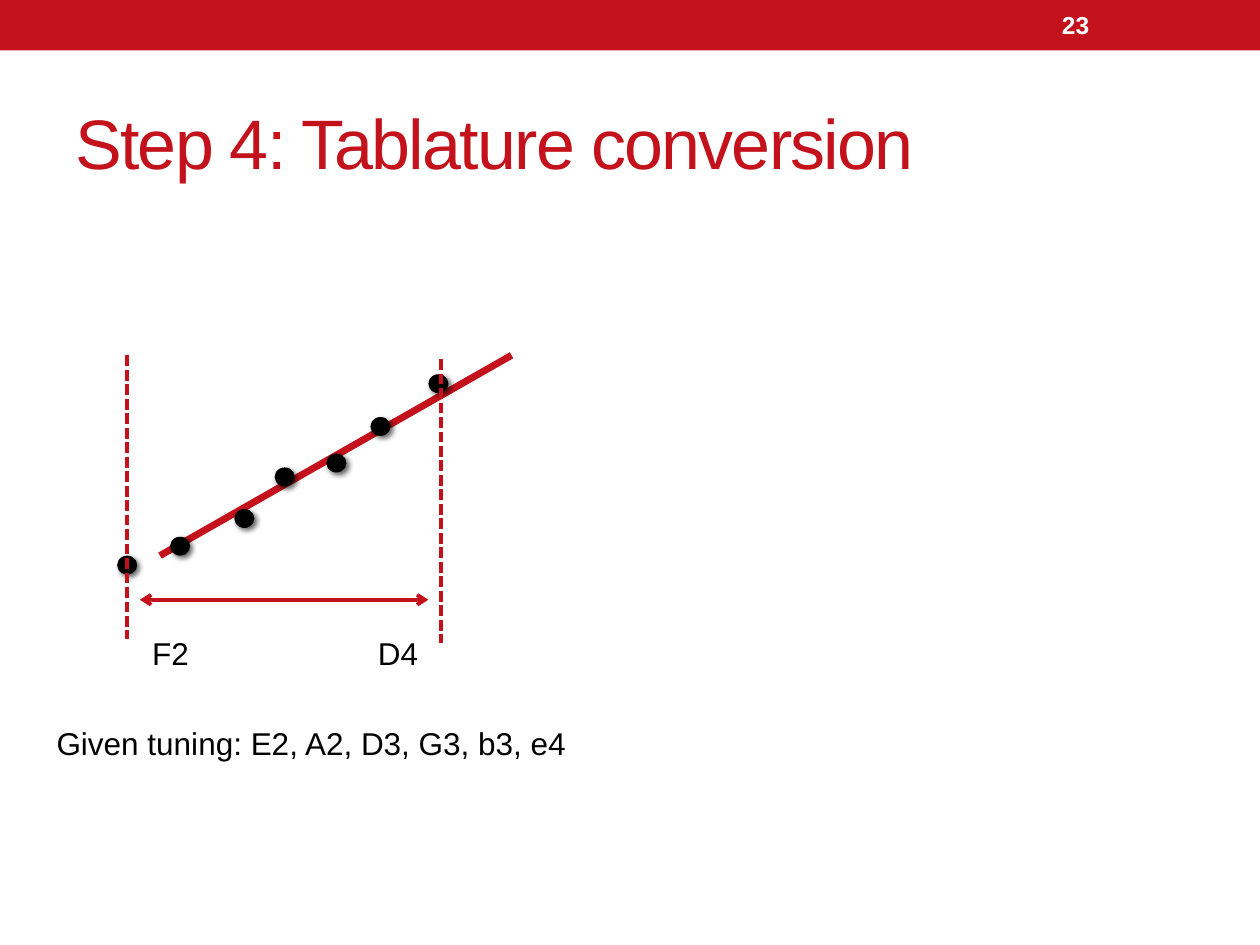
from dataclasses import dataclass

from lxml import etree
from pptx import Presentation
from pptx import util as u
from pptx.dml.color import RGBColor
from pptx.enum import dml, shapes, text
from pptx.oxml import ns

HUES = {"red": "C3121B", "black": "000000", "white": "FFFFFF"}
COLS, ROWS = 100, 75
DOT_W, DOT_H = 1.6, 1.5


@dataclass(frozen=True)
class Label:
    words: str
    x: float
    y: float
    w: float
    h: float
    size: int = 18
    hue: str = "black"
    bold: bool = False
    wrap: bool = False
    mid: bool = False
    track: int = 0


@dataclass(frozen=True)
class Rule:
    x1: float
    y1: float
    x2: float
    y2: float
    width: float = 2.08
    dash: bool = False
    heads: bool = False


LABELS = [
    Label("Step 4: Tablature conversion", 5, 5.8, 90, 10.8, 40, "red",
          wrap=True, mid=True, track=-100),
    Label("F2", 11.1, 49.8, 5, 4),
    Label("D4", 29, 49.8, 5.2, 4),
    Label("Given tuning: E2, A2, D3, G3, b3, e4", 3.5, 57, 42.9, 4),
    Label("23", 83.3, 0.2, 11.7, 3.6, 14, "white", True, True, True),
]
TREND = Rule(12.7, 44.1, 40.6, 28.2, 4)
MARKS = [
    Rule(11.1, 47.6, 34, 47.6, heads=True),
    Rule(10.1, 28.2, 10.1, 50.7, dash=True),
    Rule(35, 28.5, 35, 51, dash=True),
]
DOTS = [(9.3, 44.1), (13.5, 42.6), (18.6, 40.4), (21.8, 37.1),
        (25.9, 36), (29.4, 33.1), (34, 29.7)]

deck = Presentation()
deck.slide_width, deck.slide_height = u.Inches(10), u.Inches(7.5)
slide = deck.slides.add_slide(deck.slide_layouts[6])


def across(col: float) -> int:
    return round(deck.slide_width * col / COLS)


def down(row: float) -> int:
    return round(deck.slide_height * row / ROWS)


def rgb(hue: str) -> RGBColor:
    return RGBColor.from_string(HUES[hue])


def child(node, tag: str, **attrs: str):
    return etree.SubElement(node, ns.qn(tag), **attrs)


def add_solid(tree, kind, x: float, y: float, w: float, h: float, hue: str):
    item = tree.add_shape(kind, across(x), down(y), across(w), down(h))
    item.shadow.inherit = False
    item.fill.solid()
    item.fill.fore_color.rgb = rgb(hue)
    item.line.fill.background()
    return item


def add_dot(tree, x: float, y: float) -> None:
    dot = add_solid(tree, shapes.MSO_SHAPE.OVAL, x, y, DOT_W, DOT_H, "black")
    glow = dot.element.spPr.find(ns.qn("a:effectLst"))
    shade = child(glow, "a:outerShdw", blurRad=str(u.Pt(3)), dist=str(u.Pt(2)),
                  dir=str(45 * 60000), algn="tl", rotWithShape="0")
    tone = child(shade, "a:srgbClr", val=HUES["black"])
    child(tone, "a:alpha", val="60000")


def add_rule(rule: Rule) -> None:
    item = slide.shapes.add_connector(
        shapes.MSO_CONNECTOR.STRAIGHT, across(rule.x1), down(rule.y1),
        across(rule.x2), down(rule.y2))
    item.line.color.rgb = rgb("red")
    item.line.width = u.Pt(rule.width)
    if rule.dash:
        item.line.dash_style = dml.MSO_LINE.SQUARE_DOT
    if rule.heads:
        line = item.element.spPr.find(ns.qn("a:ln"))
        for end in ("a:headEnd", "a:tailEnd"):
            child(line, end, type="arrow")
    child(item.element.spPr, "a:effectLst")


def add_label(label: Label) -> None:
    box = slide.shapes.add_textbox(across(label.x), down(label.y),
                                   across(label.w), down(label.h))
    frame = box.text_frame
    frame.word_wrap = label.wrap
    if label.mid:
        frame.vertical_anchor = text.MSO_ANCHOR.MIDDLE
    else:
        frame.auto_size = text.MSO_AUTO_SIZE.SHAPE_TO_FIT_TEXT
    run = frame.paragraphs[0].add_run()
    run.text = label.words
    run.font.name = "Arial"
    run.font.size = u.Pt(label.size)
    run.font.bold = label.bold
    run.font.color.rgb = rgb(label.hue)
    if label.track:
        run.font._element.set("spc", str(label.track))


add_solid(slide.shapes, shapes.MSO_SHAPE.RECTANGLE, 0, 0, COLS, 4, "red")
add_rule(TREND)
group = slide.shapes.add_group_shape()
for x, y in DOTS:
    add_dot(group.shapes, x, y)
for mark in MARKS:
    add_rule(mark)
for label in LABELS:
    add_label(label)

deck.save("out.pptx")
